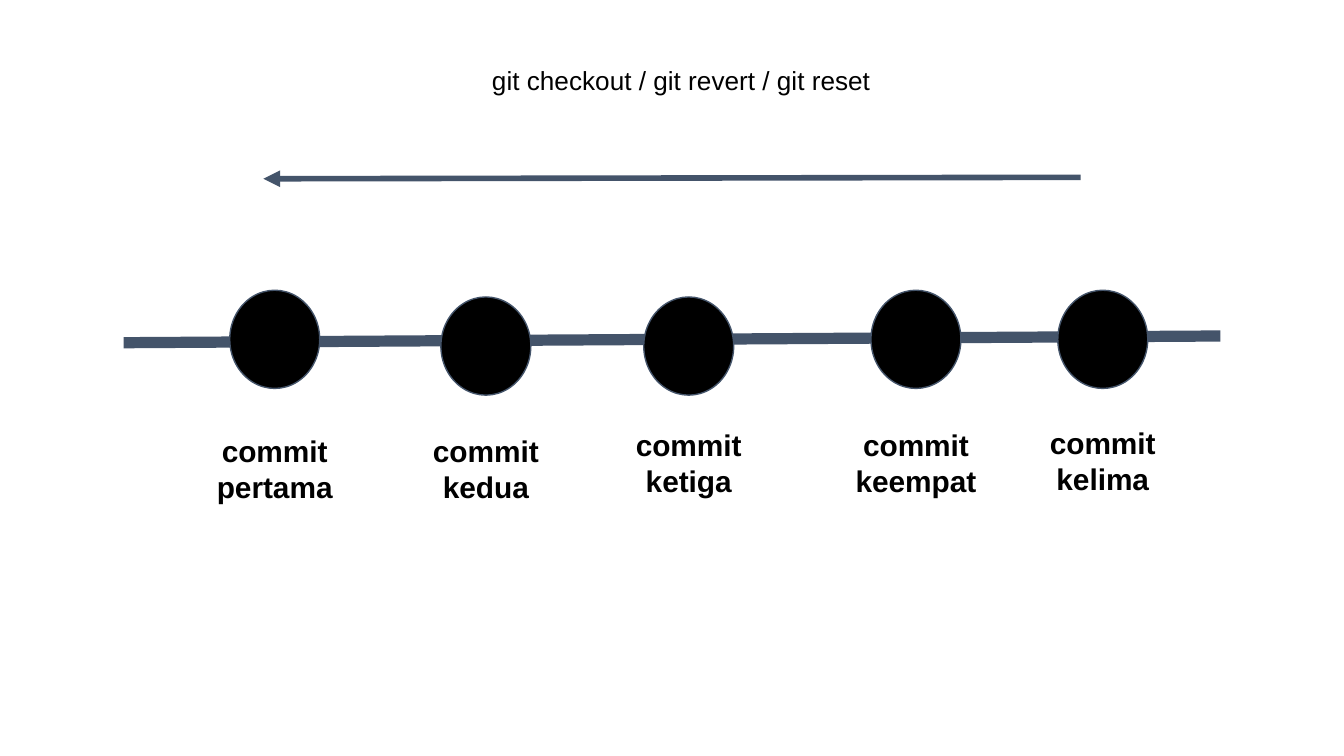
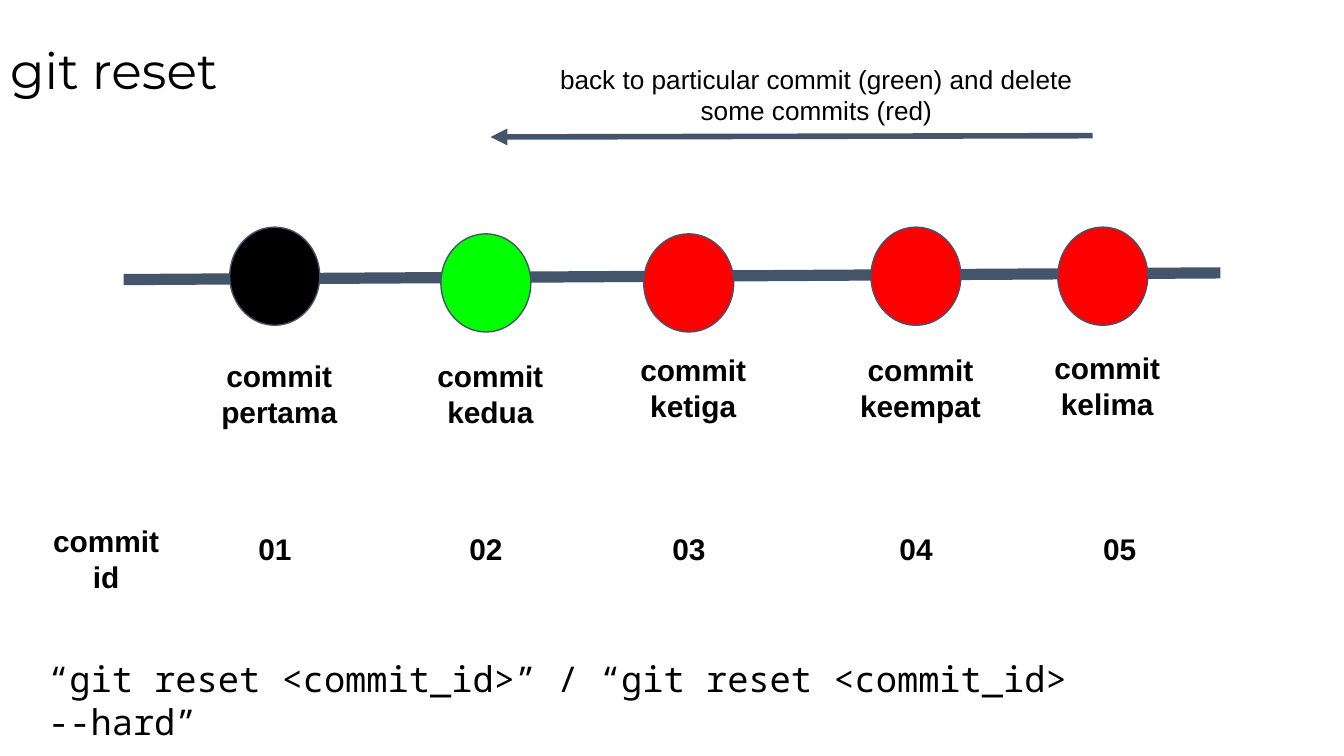
from dataclasses import dataclass

import pptx
import pptx.dml.color
import pptx.enum.shapes
import pptx.enum.text
import pptx.oxml
import pptx.oxml.ns
import pptx.util

Pt = pptx.util.Pt
Align = pptx.enum.text.PP_ALIGN
Anchor = pptx.enum.text.MSO_ANCHOR


@dataclass(frozen=True)
class Style:
    font: str
    size: float
    bold: bool = False


@dataclass(frozen=True)
class Theme:
    ink: str = "000000"
    slate: str = "44546A"
    green: str = "00FF00"
    red: str = "FF0000"
    title: Style = Style("Montserrat", 27)
    label: Style = Style("Arial", 16, True)
    note: Style = Style("Arial", 14)
    code: Style = Style("Noto Sans Mono", 19)
    rim: float = 0.75
    arrow: float = 3
    track: float = 6


@dataclass(frozen=True)
class Commit:
    name: str
    mid: float      # horizontal centre
    drop: float     # circle offset below the row top
    sink: float     # label offset below the label top
    width: float = 79.2


@dataclass(frozen=True)
class Box:
    left: float
    top: float
    width: float
    height: float = 30.2


THEME = Theme()
DOT_W, DOT_H = 48.2, 52.6
COMMITS = [
    Commit("pertama", 147.2, 0, 4.3),
    Commit("kedua", 260.3, 3.6, 4.3),
    Commit("ketiga", 369, 3.6, 1.2),
    Commit("keempat", 490.7, 0, 1.2, 90),
    Commit("kelima", 590.8, 0, 0),
]


def color(code: str) -> pptx.dml.color.RGBColor:
    return pptx.dml.color.RGBColor.from_string(code)


def write(frame, text: str, style: Style, align) -> None:
    """Fill a frame with one styled run."""
    para = frame.paragraphs[0]
    para.alignment = align
    run = para.add_run()
    run.text = text
    run.font.name = style.font
    run.font.size = Pt(style.size)
    run.font.bold = style.bold
    run.font.color.rgb = color(THEME.ink)


def inset(frame, side: float, edge: float) -> None:
    frame.word_wrap = True
    frame.auto_size = pptx.enum.text.MSO_AUTO_SIZE.NONE
    frame.margin_left = frame.margin_right = Pt(side)
    frame.margin_top = frame.margin_bottom = Pt(edge)


def put(slide, text: str, box: Box, style: Style, align=Align.CENTER) -> None:
    shape = slide.shapes.add_textbox(
        Pt(box.left), Pt(box.top), Pt(box.width), Pt(box.height))
    inset(shape.text_frame, 7.2, 7.2)
    shape.text_frame.vertical_anchor = Anchor.TOP
    write(shape.text_frame, text, style, align)


def head(slide, text: str) -> None:
    """Place and format the title placeholder."""
    title = slide.shapes.title
    title.left, title.top = Pt(0), Pt(0)
    title.width, title.height = Pt(620.6), Pt(78.5)
    inset(title.text_frame, 5.4, 2.7)
    title.text_frame.vertical_anchor = Anchor.MIDDLE
    write(title.text_frame, text, THEME.title, Align.LEFT)
    title.text_frame.paragraphs[0].line_spacing = 0.9


def line(slide, x1: float, y1: float, x2: float, y2: float,
         width: float, tip: bool = False) -> None:
    link = slide.shapes.add_connector(
        pptx.enum.shapes.MSO_CONNECTOR.STRAIGHT, Pt(x1), Pt(y1), Pt(x2), Pt(y2))
    link.line.color.rgb = color(THEME.slate)
    link.line.width = Pt(width)
    if tip:
        end = pptx.oxml.parse_xml(
            f'<a:tailEnd {pptx.oxml.ns.nsdecls("a")} type="triangle"/>')
        link.line._get_or_add_ln().append(end)
    link._element.spPr.append(pptx.oxml.parse_xml(
        f'<a:effectLst {pptx.oxml.ns.nsdecls("a")}/>'))


def dot(slide, left: float, top: float, fill: str) -> None:
    shape = slide.shapes.add_shape(
        pptx.enum.shapes.MSO_SHAPE.OVAL, Pt(left), Pt(top), Pt(DOT_W), Pt(DOT_H))
    shape.shadow.inherit = False
    shape.fill.solid()
    shape.fill.fore_color.rgb = color(fill)
    shape.line.color.rgb = color(THEME.slate)
    shape.line.width = Pt(THEME.rim)


def graph(slide, top: float, base: float, fills: list[str],
          shift: float = 0) -> None:
    """Draw the track, its commits and their labels."""
    line(slide, 66.2, top + 28.1, 653.8, top + 24.5, THEME.track)
    for item, fill in zip(COMMITS, fills):
        dot(slide, item.mid - DOT_W / 2, top + item.drop, fill)
        box = Box(item.mid - item.width / 2 + shift, base + item.sink, item.width)
        put(slide, f"commit {item.name}", box, THEME.label)


def past(deck) -> None:
    """Going back through the history."""
    slide = deck.slides.add_slide(deck.slide_layouts[6])
    graph(slide, 155.5, 220.3, [THEME.ink] * len(COMMITS))
    line(slide, 578.9, 95, 141.1, 95.8, THEME.arrow, True)
    put(slide, "git checkout / git revert / git reset",
        Box(241.9, 27.4, 246.2), THEME.note)


def reset(deck) -> None:
    """What git reset keeps and deletes."""
    slide = deck.slides.add_slide(deck.slide_layouts[5])
    head(slide, "git reset")
    graph(slide, 121.7, 180, [THEME.ink, THEME.green] + [THEME.red] * 3, 2.4)
    line(slide, 585.4, 72.7, 262.8, 73.4, THEME.arrow, True)
    put(slide, "back to particular commit (green) and delete some commits (red)",
        Box(285.1, 26.6, 304.6), THEME.note)

    # Row of commit ids; the last one sits a little to the right
    put(slide, "commit id", Box(18.7, 272.9, 76.3), THEME.label)
    for num, item in enumerate(COMMITS, 1):
        nudge = 9 if num == len(COMMITS) else 0
        put(slide, f"{num:02}", Box(item.mid - 20.9 + nudge, 277.2, 41.8),
            THEME.label)

    put(slide, "“git reset <commit_id>” / “git reset <commit_id> --hard”",
        Box(18.7, 344.9, 577.4, 67.7), THEME.code, Align.LEFT)


def main() -> None:
    deck = pptx.Presentation()
    deck.slide_width, deck.slide_height = Pt(720), Pt(405)
    past(deck)
    reset(deck)
    deck.save("out.pptx")


if __name__ == "__main__":
    main()
